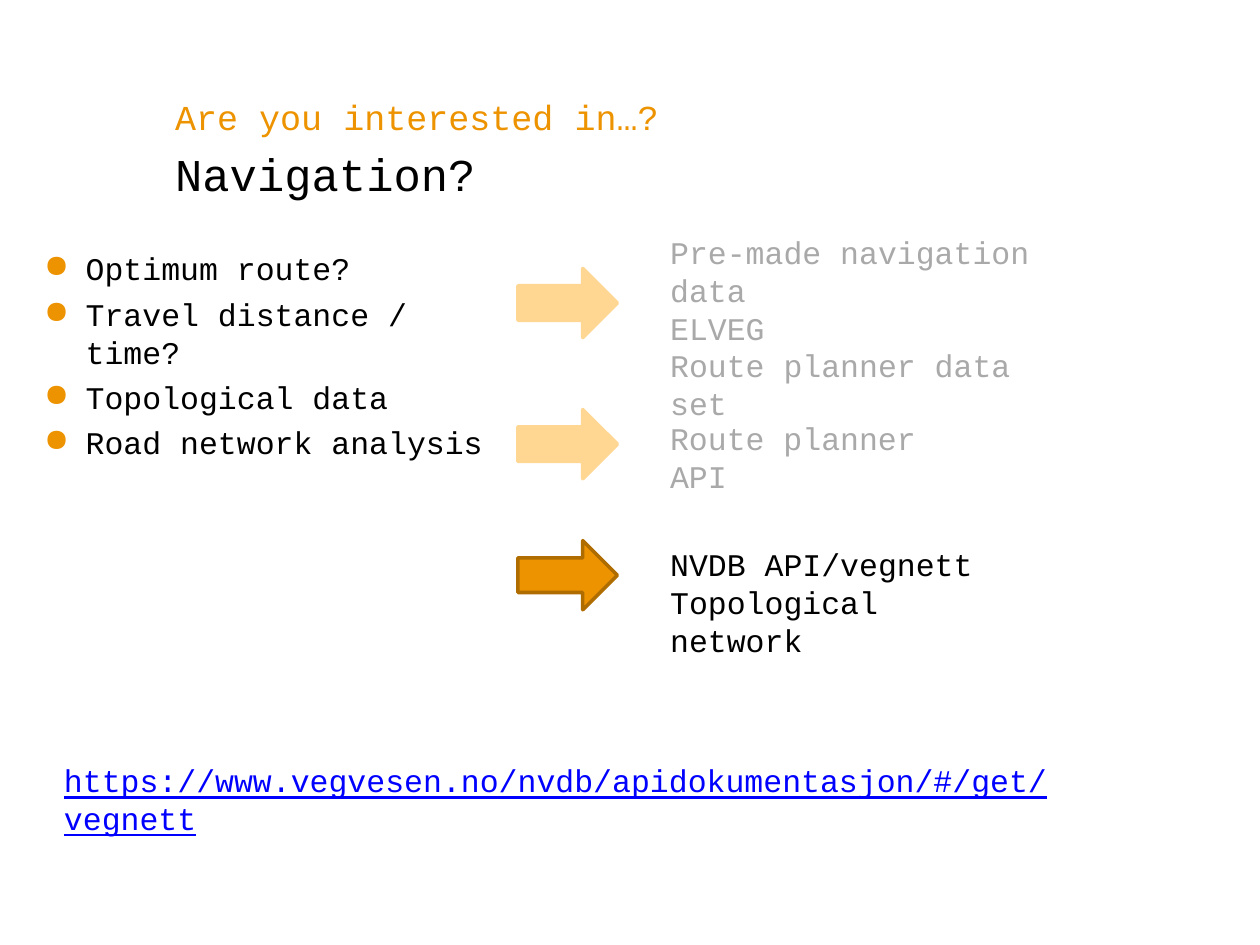
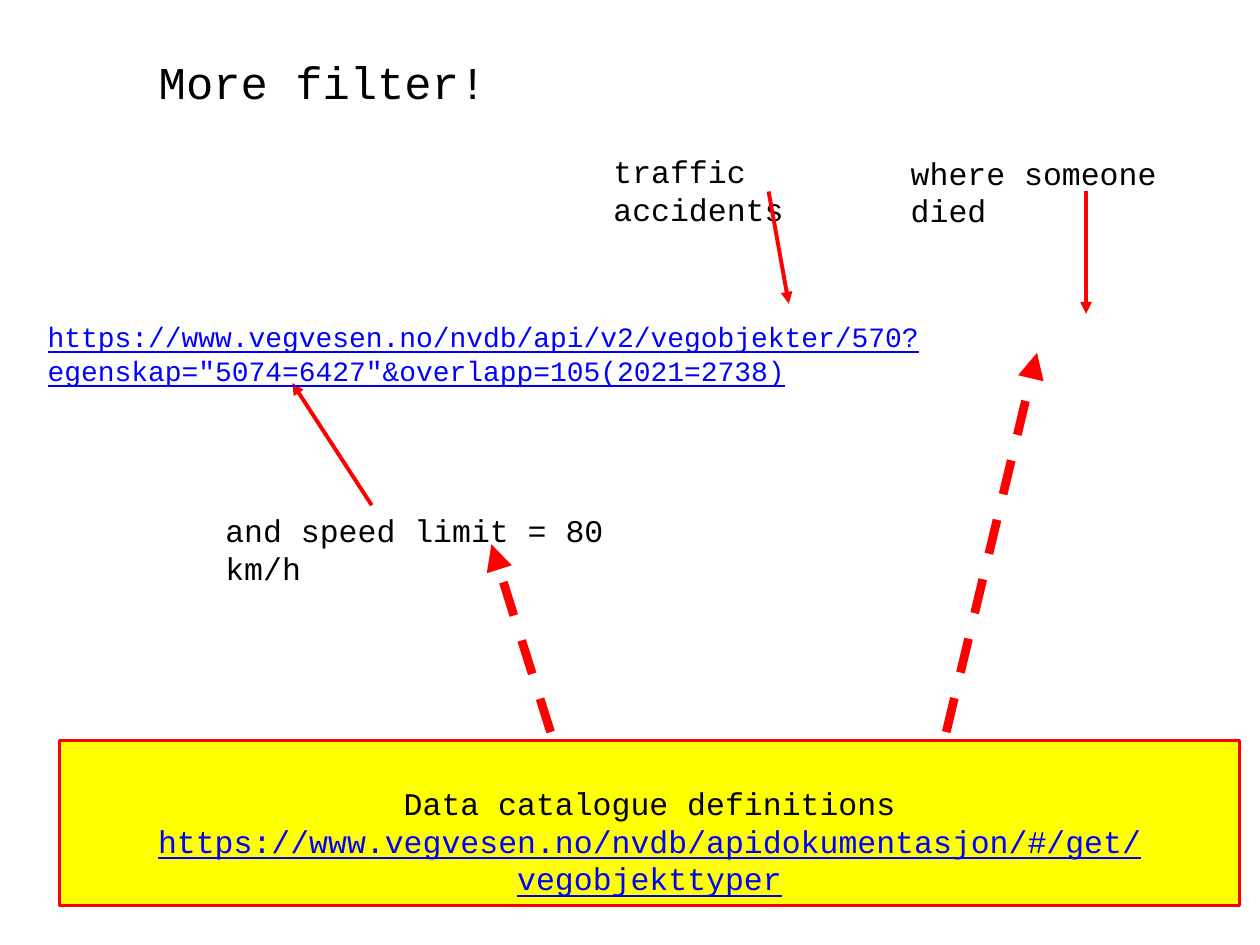
import pptx
import pptx.dml.color
import pptx.enum.dml
import pptx.enum.shapes
import pptx.enum.text
import pptx.oxml
import pptx.oxml.ns
import pptx.util
from lxml import etree

FONT = "Courier New"
COLORS = {
    "text": "000000",
    "muted": "A9A9A9",
    "link": "0000FF",
    "orange": "ED9300",
    "orange_edge": "AF6D00",
    "pale": "FFD692",
    "yellow": "FFFF00",
    "red": "FF0000",
}
COLUMNS, ROWS = 100, 75
DOCS = "https://www.vegvesen.no/nvdb/apidokumentasjon/#/get/"
SHAPE = pptx.enum.shapes.MSO_SHAPE


def rgb(name):
    return pptx.dml.color.RGBColor.from_string(COLORS[name])


class Deck:
    """Shared style plus the current slide; positions are columns and rows."""

    def __init__(self):
        self.prs = pptx.Presentation()
        self.prs.slide_width = pptx.util.Inches(10)
        self.prs.slide_height = pptx.util.Inches(7.5)
        self.s = None

    def new_slide(self):
        self.s = self.prs.slides.add_slide(self.prs.slide_layouts[6])

    def place(self, *cells):
        """Turn alternating columns and rows into lengths."""
        units = (self.prs.slide_width / COLUMNS, self.prs.slide_height / ROWS)
        return [round(cell * units[i % 2]) for i, cell in enumerate(cells)]

    def style(self, p, size, color):
        p.font.name = FONT
        p.font.size = pptx.util.Pt(size)
        p.font.color.rgb = rgb(color)
        if color == "link":
            p.font.underline = True

    def fill(self, tf, lines, size, color):
        """Write one paragraph per line, web addresses as link text."""
        for i, line in enumerate(lines):
            p = tf.paragraphs[0] if i == 0 else tf.add_paragraph()
            p.add_run().text = line
            self.style(p, size, "link" if line.startswith("https:") else color)

    def text(self, cells, *lines, size=18, color="text", inset=True):
        tf = self.s.shapes.add_textbox(*self.place(*cells)).text_frame
        tf.word_wrap = True
        if not inset:
            tf.margin_left = tf.margin_right = tf.margin_top = tf.margin_bottom = 0
        self.fill(tf, lines, size, color)
        return tf

    def title(self, col, row, text):
        self.text((col, row, 76.5, 5.1), text, size=26, inset=False)

    def bullets(self, cells, *lines):
        tf = self.text(cells, *lines, inset=False)
        indent = pptx.util.Inches(0.33)
        for i, p in enumerate(tf.paragraphs):
            pPr = p._p.get_or_add_pPr()
            pPr.set("marL", str(indent))
            pPr.set("indent", str(-indent))
            ns = pptx.oxml.ns.nsdecls("a")
            bullet = (
                f'<a:buClr {ns}><a:srgbClr val="{COLORS["orange"]}"/></a:buClr>',
                f'<a:buChar {ns} char="●"/>',
            )
            for position, xml in enumerate(bullet):
                pPr.insert(position, pptx.oxml.parse_xml(xml))
            if i:
                p.space_before = pptx.util.Pt(4.3)

    def shape(self, kind, cells, fill, edge, width):
        shape = self.s.shapes.add_shape(kind, *self.place(*cells))
        shape.shadow.inherit = False
        shape.fill.solid()
        shape.fill.fore_color.rgb = rgb(fill)
        shape.line.color.rgb = rgb(edge)
        shape.line.width = pptx.util.Pt(width)
        return shape

    def callout(self, cells, *lines):
        tf = self.shape(SHAPE.RECTANGLE, cells, "yellow", "red", 1.75).text_frame
        tf.word_wrap = True
        tf.vertical_anchor = pptx.enum.text.MSO_ANCHOR.TOP
        tf.margin_top = pptx.util.Inches(0.34)
        self.fill(tf, lines, 18, "text")
        for p in tf.paragraphs:
            p.alignment = pptx.enum.text.PP_ALIGN.CENTER

    def pointer(self, cells, width=2.25, dashed=False):
        """Draw a red line with an arrowhead at its end."""
        line = self.s.shapes.add_connector(
            pptx.enum.shapes.MSO_CONNECTOR.STRAIGHT, *self.place(*cells))
        line.line.color.rgb = rgb("red")
        line.line.width = pptx.util.Pt(width)
        if dashed:
            line.line.dash_style = pptx.enum.dml.MSO_LINE.DASH
        qn = pptx.oxml.ns.qn
        etree.SubElement(line.line._get_or_add_ln(), qn("a:tailEnd"), type="triangle")
        etree.SubElement(line._element.spPr, qn("a:effectLst"))


def navigation(deck):
    deck.new_slide()
    deck.title(13.9, 11.6, "Navigation?")
    deck.text((13.9, 7.6, 62.3, 3.9), "Are you interested in…?",
              size=20, color="orange", inset=False)
    deck.bullets((3.5, 19.8, 36.9, 13.3), "Optimum route?", "Travel distance / time?",
                 "Topological data", "Road network analysis")

    muted = ("pale", "pale", "muted")
    active = ("orange", "orange_edge", "text")
    options = [
        (21.3, (52.2, 18, 33.8, 10.1), muted,
         ("Pre-made navigation data", "ELVEG", "Route planner data set")),
        (32.5, (52.2, 32.8, 24.6, 4), muted, ("Route planner API",)),
        (42.9, (52.2, 42.8, 27.8, 7.1), active,
         ("NVDB API/vegnett", "Topological network")),
    ]
    for row, cells, (fill, edge, color), lines in options:
        deck.shape(SHAPE.RIGHT_ARROW, (41.1, row, 7.9, 5.5), fill, edge, 2)
        deck.text(cells, *lines, color=color)
    deck.text((4.1, 59.9, 84.6, 7.1), DOCS + "vegnett")


def more_filter(deck):
    deck.new_slide()
    deck.title(12.6, 4.3, "More filter!")
    notes = [
        ("traffic accidents", (47.7, 11.6, 21.6, 4), (61, 15.2, 62.6, 24.1)),
        ("where someone died", (71.3, 11.7, 27.4, 4), (86.2, 15.2, 86.2, 24.9)),
        ("and speed limit = 80 km/h", (16.9, 40.1, 35.3, 4), (29.5, 40.1, 23.2, 30.4)),
    ]
    for note, cells, arrow in notes:
        deck.text(cells, note)
        deck.pointer(arrow)
    deck.text((2.8, 24.9, 92.1, 9.1),
              "https://www.vegvesen.no/nvdb/api/v2/vegobjekter/570?"
              'egenskap="5074=6427"&overlapp=105(2021=2738)', size=16)
    deck.callout((4.7, 58.8, 93.7, 13.1),
                 "Data catalogue definitions", DOCS + "vegobjekttyper")
    for arrow in ((43.7, 58.1, 39, 43.2), (75.1, 58.1, 82.3, 28)):
        deck.pointer(arrow, width=5, dashed=True)


def main():
    deck = Deck()
    navigation(deck)
    more_filter(deck)
    deck.prs.save("out.pptx")


if __name__ == "__main__":
    main()
